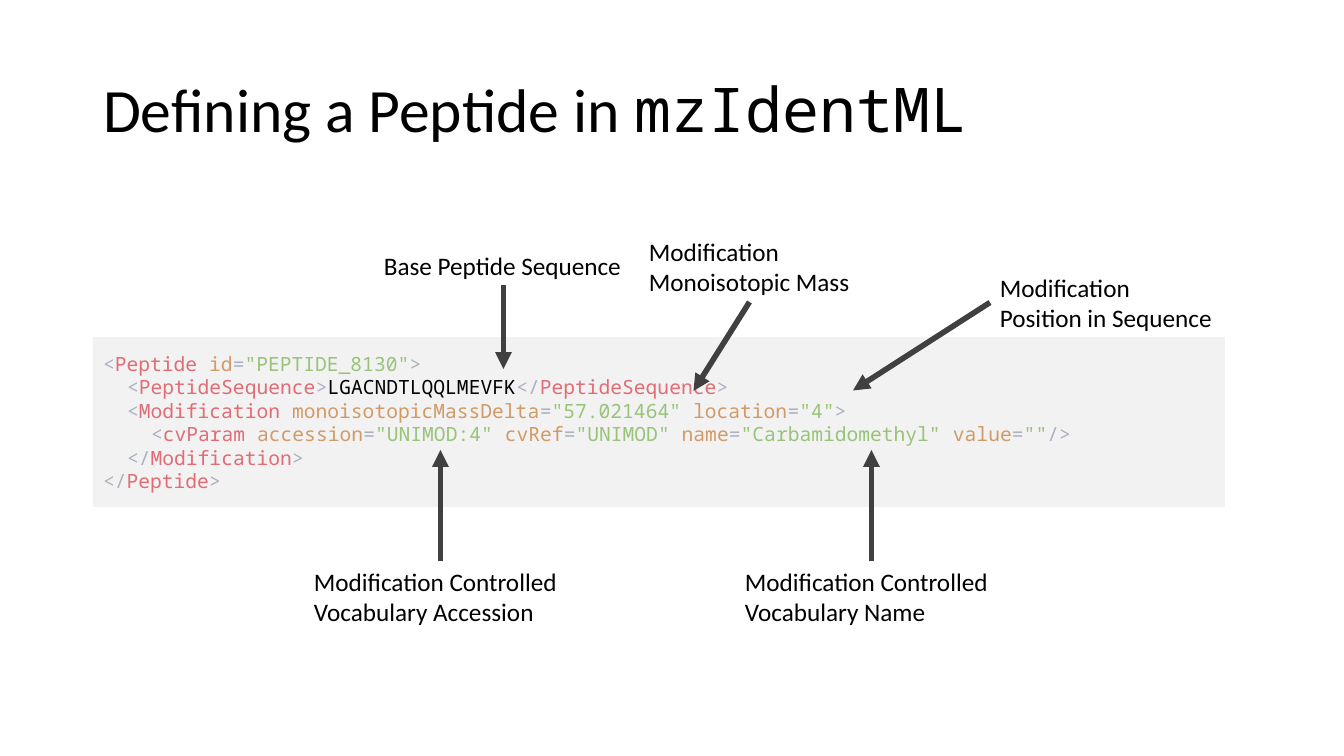
import pptx
import pptx.util
import pptx.dml.color
import pptx.enum.text
import pptx.enum.shapes
import pptx.oxml.ns
import lxml.etree

RGB = pptx.dml.color.RGBColor
BLACK = RGB(0x00, 0x00, 0x00)
DARK = RGB(0x40, 0x40, 0x40)
PANEL = RGB(0xF2, 0xF2, 0xF2)
GREY = RGB(0xAB, 0xB2, 0xBF)
RED = RGB(0xE0, 0x6C, 0x75)
ORANGE = RGB(0xD1, 0x9A, 0x66)
GREEN = RGB(0x98, 0xC3, 0x79)
SANS, MONO = "Calibri", "Noto Sans Mono"
SCALE = 914400 / 100.8
INDENT = 12  # one code column
TOP, BOTTOM, LEFT = (0.5, 0), (0.5, 1), (0, 0.5)
ANCHOR = pptx.enum.text.MSO_ANCHOR
FIT = pptx.enum.text.MSO_AUTO_SIZE


def px(n):
    """Turn pixels into EMU."""
    return pptx.util.Emu(round(n * SCALE))


def place(shape, box):
    """Move a shape to a pixel box."""
    shape.left, shape.top, shape.width, shape.height = map(px, box)


def style(run, size, face, color):
    """Set the font of a run."""
    run.font.size = pptx.util.Pt(size)
    run.font.name = face
    run.font.color.rgb = color


def add_run(para, text, size, face, color):
    """Append a styled run to a paragraph."""
    run = para.add_run()
    run.text = text
    style(run, size, face, color)


def sub(parent, kind, **attrs):
    """Append a DrawingML element."""
    return lxml.etree.SubElement(parent, pptx.oxml.ns.qn(kind), **attrs)


def tag(label, /, end=">", **attrs):
    """List the coloured parts of an opening tag."""
    parts = [("<", GREY), (label, RED)]
    for key, value in attrs.items():
        parts += [(" " + key, ORANGE), ("=", GREY), (f'"{value}"', GREEN)]
    return parts + [(end, GREY)]


def close(label):
    """List the coloured parts of a closing tag."""
    return [("</", GREY), (label, RED), (">", GREY)]


def add_title(slide, box):
    """Fill the title placeholder."""
    title = slide.shapes.title
    place(title, box)
    frame = title.text_frame
    frame.auto_size = FIT.NONE
    frame.vertical_anchor = ANCHOR.MIDDLE
    para = frame.paragraphs[0]
    para.alignment = pptx.enum.text.PP_ALIGN.LEFT
    para.line_spacing = 0.9
    add_run(para, "Defining a Peptide in ", 44, SANS, BLACK)
    add_run(para, "mzIdentML", 44, MONO, BLACK)


def add_code(slide, box, lines):
    """Fill the body placeholder with indented, coloured code."""
    body = slide.placeholders[1]
    place(body, box)
    body.fill.solid()
    body.fill.fore_color.rgb = PANEL
    frame = body.text_frame
    frame.auto_size = FIT.NONE
    frame.vertical_anchor = ANCHOR.MIDDLE
    for i, (depth, parts) in enumerate(lines):
        para = frame.add_paragraph() if i else frame.paragraphs[0]
        para.line_spacing = pptx.util.Pt(16.8)
        para.space_before = pptx.util.Pt(0)
        props = para._p.get_or_add_pPr()
        props.set("marL", str(px(depth * INDENT)))
        props.set("indent", "0")
        sub(props, "a:buNone")
        for text, color in parts:
            add_run(para, text, 14, MONO, color)


def add_note(slide, box, text, side, reach):
    """Group a label with an arrow from one side of its box."""
    group = slide.shapes.add_group_shape()
    left, top, width, height = box
    x, y = left + side[0] * width, top + side[1] * height
    arrow = group.shapes.add_connector(
        pptx.enum.shapes.MSO_CONNECTOR.STRAIGHT,
        px(x), px(y), px(x + reach[0]), px(y + reach[1]))
    arrow.line.color.rgb = DARK
    arrow.line.width = pptx.util.Pt(4)
    sub(arrow.line._get_or_add_ln(), "a:tailEnd", type="triangle")
    sub(arrow._element.spPr, "a:effectLst")
    label = group.shapes.add_textbox(*map(px, box))
    frame = label.text_frame
    frame.word_wrap = True
    frame.auto_size = FIT.SHAPE_TO_FIT_TEXT
    frame.text = text
    for run in frame.paragraphs[0].runs:
        style(run, 18, SANS, BLACK)


CODE = [
    (0, tag("Peptide", id="PEPTIDE_8130")),
    (2, tag("PeptideSequence") + [("LGACNDTLQQLMEVFK", BLACK)]
     + close("PeptideSequence")),
    (2, tag("Modification", monoisotopicMassDelta="57.021464", location="4")),
    (4, tag("cvParam", "/>", accession="UNIMOD:4", cvRef="UNIMOD",
            name="Carbamidomethyl", value="")),
    (2, close("Modification")),
    (0, close("Peptide")),
]
NOTES = [
    ((990, 267, 235, 71), "Modification\vPosition in Sequence", LEFT, (-137, 88)),
    ((374, 245, 259, 40), "Base Peptide Sequence", BOTTOM, (0, 84)),
    ((735, 561, 273, 71), "Modification Controlled\vVocabulary Name", TOP, (0, -111)),
    ((304, 561, 273, 71), "Modification Controlled\vVocabulary Accession", TOP, (0, -111)),
    ((639, 231, 221, 71), "Modification\vMonoisotopic Mass", BOTTOM, (-56, 89)),
]

deck = pptx.Presentation()
deck.slide_width, deck.slide_height = px(1344), px(756)
slide = deck.slides.add_slide(deck.slide_layouts[1])
add_title(slide, (93, 40, 1159, 146))
add_code(slide, (93, 337, 1132, 170), CODE)
for note in NOTES:
    add_note(slide, *note)
deck.save("out.pptx")
